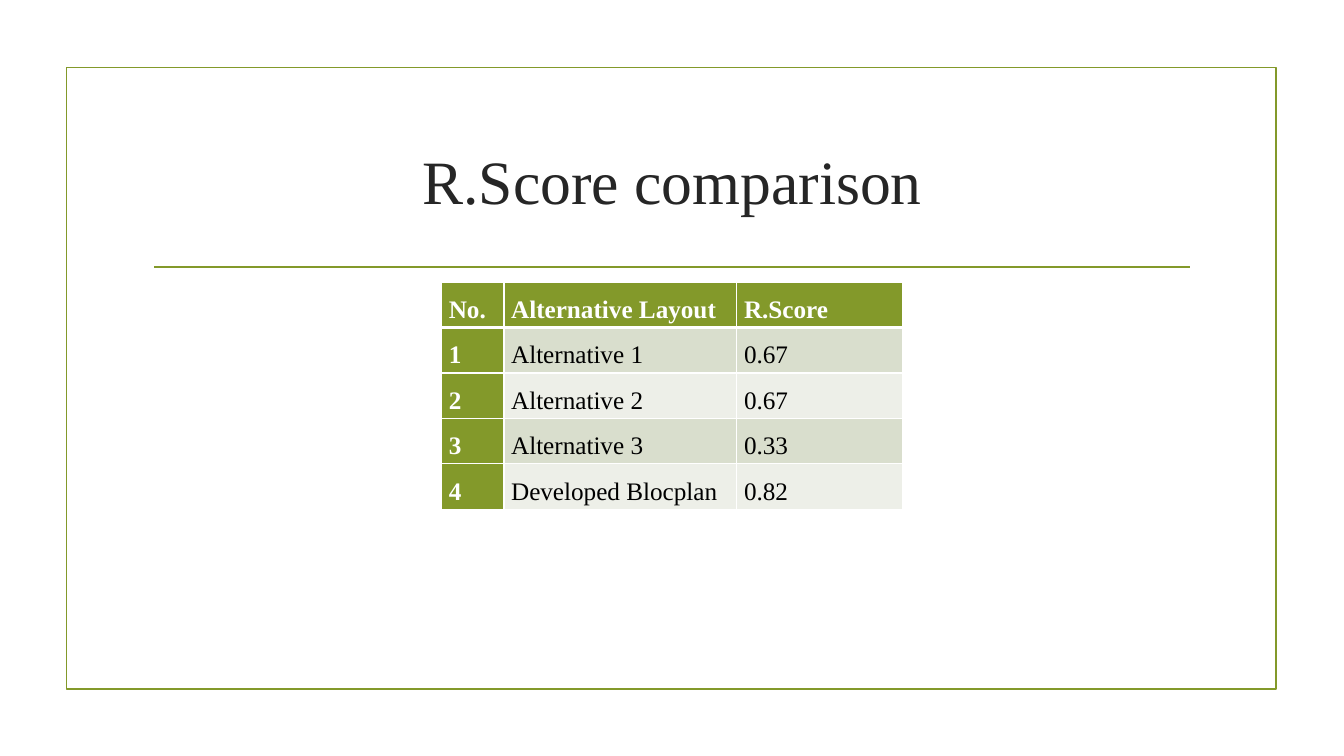
import pptx
import pptx.dml.color
import pptx.enum.shapes
import pptx.enum.text
import pptx.oxml
import pptx.oxml.ns
import pptx.util
from dataclasses import dataclass
from lxml import etree

Cm = pptx.util.Cm
Pt = pptx.util.Pt
Align = pptx.enum.text.PP_ALIGN
Anchor = pptx.enum.text.MSO_ANCHOR

# Content
TITLE = "R.Score comparison"
HEADINGS = ("No.", "Alternative Layout", "R.Score")
SCORES = [
    ("Alternative 1", "0.67"),
    ("Alternative 2", "0.67"),
    ("Alternative 3", "0.33"),
    ("Developed Blocplan", "0.82"),
]

# Layout in centimetres
SLIDE_SIZE = (33.87, 19.05)
FRAME = (1.68, 1.7, 30.48, 15.67)
TITLE_AREA = (3.61, 2.72, 26.67, 3.63)
RULE = (3.89, 6.73, 30, 6.73)
TABLE_CORNER = (11.13, 7.11)
COLUMN_WIDTHS = (1.57, 5.87, 4.17)
ROW_HEIGHT = 1.05
CELL_INSET = 0.18


@dataclass(frozen=True)
class Theme:
    font: str = "Times New Roman"
    accent: str = "83992A"
    title: str = "262626"
    body: str = "000000"
    white: str = "FFFFFF"
    bands: tuple = ("D9DECD", "EDEFE8")
    title_size: float = 44
    table_size: float = 18
    line_width: float = 1.25
    grid_width: float = 1
    header_width: float = 3


THEME = Theme()


def rgb(value):
    return pptx.dml.color.RGBColor.from_string(value)


def write(frame, text, *, size, color, bold=False, align=Align.LEFT, spacing=1.0):
    paragraph = frame.paragraphs[0]
    paragraph.alignment = align
    paragraph.line_spacing = spacing
    run = paragraph.add_run()
    run.text = text
    run.font.name = THEME.font
    run.font.size = Pt(size)
    run.font.bold = bold
    run.font.color.rgb = rgb(color)


def style_line(line):
    line.color.rgb = rgb(THEME.accent)
    line.width = Pt(THEME.line_width)


def set_borders(cell, **widths):
    properties = cell._tc.get_or_add_tcPr()
    for position, (side, width) in enumerate(widths.items()):
        border = pptx.oxml.parse_xml(
            f'<a:ln{side} {pptx.oxml.ns.nsdecls("a")} w="{Pt(width)}">'
            f'<a:solidFill><a:srgbClr val="{THEME.white}"/></a:solidFill></a:ln{side}>'
        )
        properties.insert(position, border)


def add_frame(slide):
    frame = slide.shapes.add_shape(
        pptx.enum.shapes.MSO_SHAPE.RECTANGLE, *map(Cm, FRAME))
    frame.shadow.inherit = False
    frame.fill.background()
    style_line(frame.line)

    rule = slide.shapes.add_connector(
        pptx.enum.shapes.MSO_CONNECTOR.STRAIGHT, *map(Cm, RULE))
    style_line(rule.line)
    etree.SubElement(rule._element.spPr, pptx.oxml.ns.qn("a:effectLst"))


def add_title(slide):
    frame = slide.shapes.add_textbox(*map(Cm, TITLE_AREA)).text_frame
    frame.word_wrap = True
    frame.vertical_anchor = Anchor.MIDDLE
    write(frame, TITLE, size=THEME.title_size, color=THEME.title, align=Align.CENTER)


def add_scores(slide):
    rows = [HEADINGS] + [(str(n), *score) for n, score in enumerate(SCORES, 1)]
    table = slide.shapes.add_table(
        len(rows), len(HEADINGS), *map(Cm, TABLE_CORNER),
        Cm(sum(COLUMN_WIDTHS)), Cm(ROW_HEIGHT * len(rows))).table
    table.first_col = True
    for column, width in zip(table.columns, COLUMN_WIDTHS):
        column.width = Cm(width)

    for r, values in enumerate(rows):
        table.rows[r].height = Cm(ROW_HEIGHT)
        for c, value in enumerate(values):
            cell = table.cell(r, c)
            heading = r == 0 or c == 0
            cell.margin_left = cell.margin_right = Cm(CELL_INSET)
            cell.margin_top = cell.margin_bottom = 0
            cell.fill.solid()
            cell.fill.fore_color.rgb = rgb(
                THEME.accent if heading else THEME.bands[(r - 1) % 2])
            write(cell.text_frame, value, size=THEME.table_size, bold=heading,
                  color=THEME.white if heading else THEME.body,
                  align=Align.JUSTIFY, spacing=1.5)
            # The heading row is closed by a heavier line
            grid, heavy = THEME.grid_width, THEME.header_width
            set_borders(cell, L=grid, R=grid,
                        T=heavy if r == 1 else grid,
                        B=heavy if r == 0 else grid)


def main():
    deck = pptx.Presentation()
    deck.slide_width, deck.slide_height = map(Cm, SLIDE_SIZE)
    slide = deck.slides.add_slide(deck.slide_layouts[6])
    add_frame(slide)
    add_title(slide)
    add_scores(slide)
    deck.save("out.pptx")


if __name__ == "__main__":
    main()
